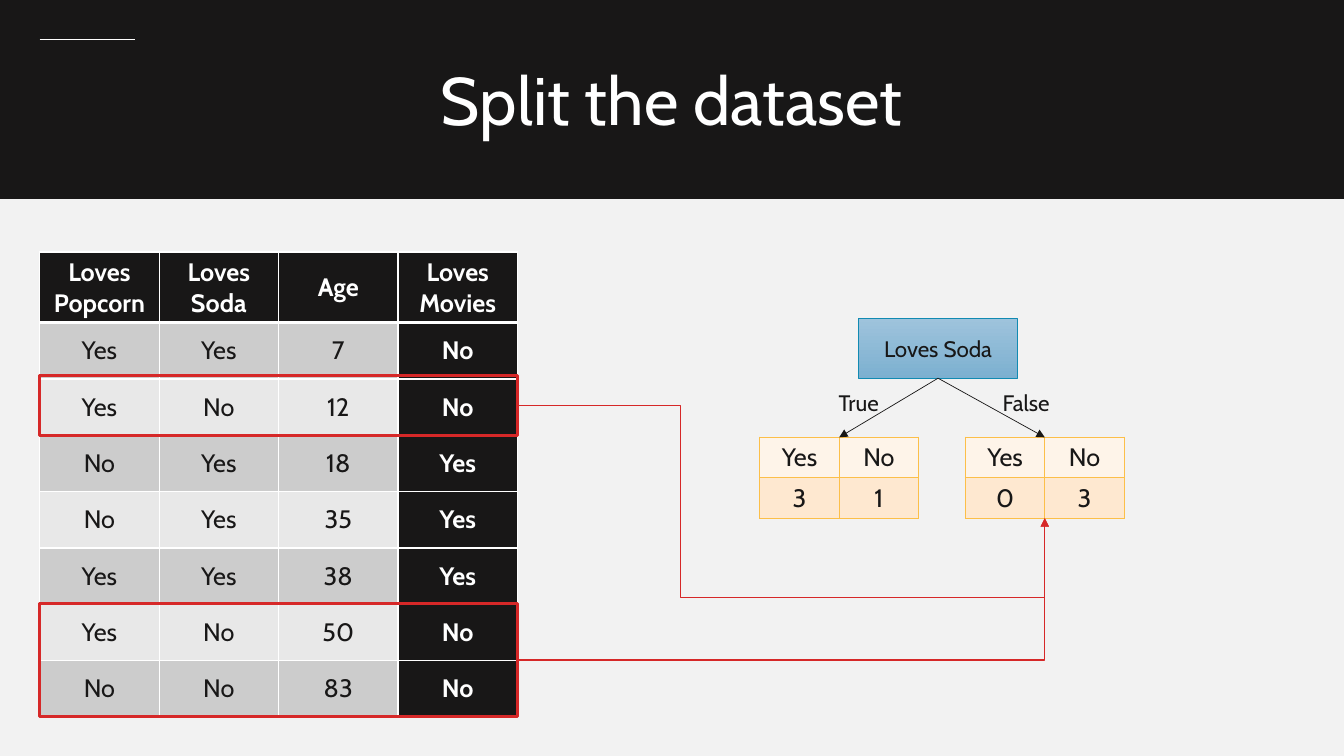
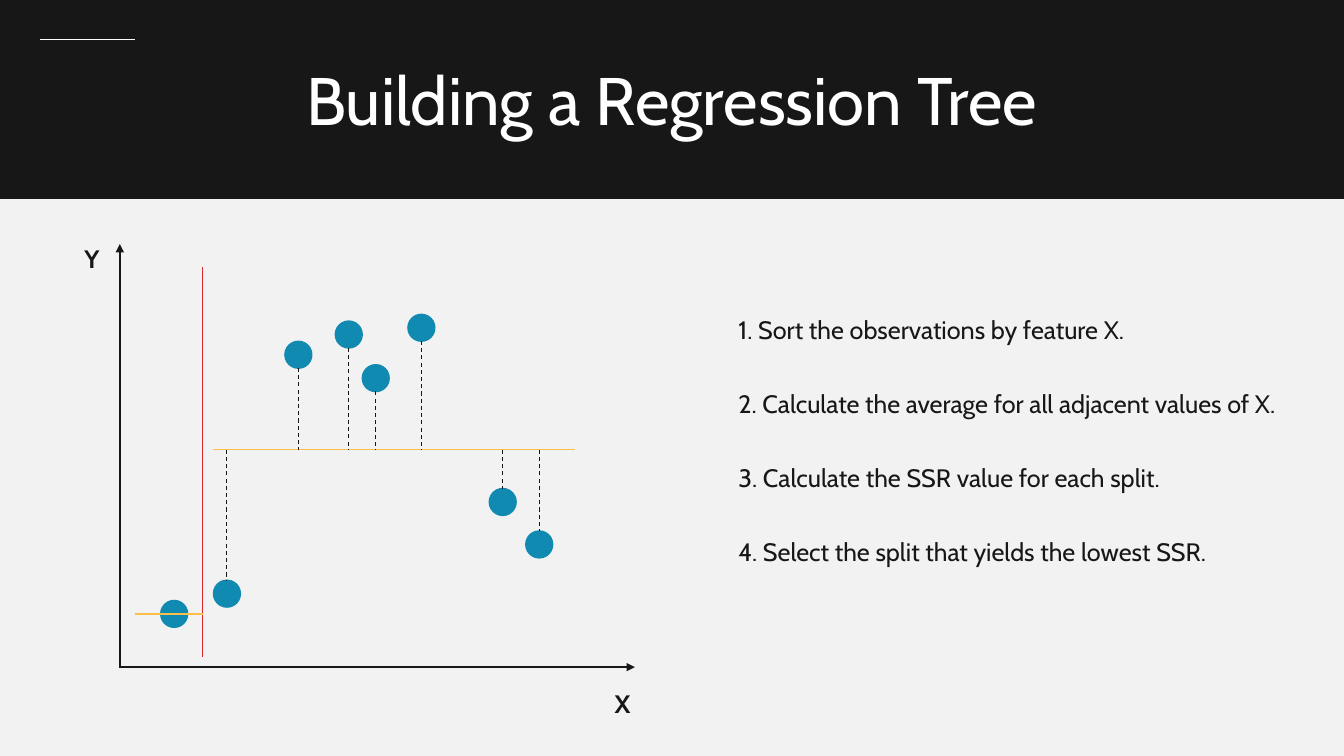
"""Build two lesson slides about decision trees and regression trees."""
from dataclasses import dataclass
from typing import NamedTuple

from lxml import etree
from pptx import Presentation
from pptx import util as u
from pptx.dml import color
from pptx.enum import dml, shapes, text
from pptx.oxml import ns


@dataclass(frozen=True)
class Theme:
    """Hold the colours, type sizes and font."""
    paper: str = "F2F2F2"
    ink: str = "181717"
    white: str = "FFFFFF"
    blue: str = "118AB2"
    red: str = "D62828"
    amber: str = "FCBF49"
    bands: tuple = ("CCCCCC", "E8E8E8")
    leaf: tuple = ("FEF4E9", "FEE8D0")
    root: tuple = ("9EC3DC", "7CB0D0")
    font: str = "Cabin"
    title: int = 48
    body: int = 18
    label: int = 16


class Box(NamedTuple):
    """Give a place and size in centimetres."""
    x: float
    y: float
    w: float
    h: float

    def cm(self) -> list:
        """Return the four lengths."""
        return [u.Cm(v) for v in self]


class Dot(NamedTuple):
    """Give the centre of an observation in centimetres."""
    x: float
    y: float


T = Theme()
W, H, BAND_H = 33.87, 19.05, 5.0
MEAN_Y, DOT_R = 11.33, 0.33
PEOPLE = [
    ("Loves Popcorn", "Loves Soda", "Age", "Loves Movies"),
    ("Yes", "Yes", "7", "No"),
    ("Yes", "No", "12", "No"),
    ("No", "Yes", "18", "Yes"),
    ("No", "Yes", "35", "Yes"),
    ("Yes", "Yes", "38", "Yes"),
    ("Yes", "No", "50", "No"),
    ("No", "No", "83", "No"),
]
LEFT_DOT = Dot(4.39, 15.47)
RIGHT_DOTS = [
    Dot(5.72, 14.96), Dot(7.52, 8.94), Dot(8.79, 8.43), Dot(9.47, 9.53),
    Dot(10.62, 8.26), Dot(12.67, 12.65), Dot(13.59, 13.72),
]
STEPS = [
    "Sort the observations by feature X.",
    "Calculate the average for all adjacent values of X.",
    "Calculate the SSR value for each split.",
    "Select the split that yields the lowest SSR.",
]


def rgb(value: str) -> color.RGBColor:
    """Turn a hex string into a colour."""
    return color.RGBColor.from_string(value)


def write(tf, words: str, *, size: int = T.body, ink: str = T.ink,
          bold: bool = False, center: bool = True) -> None:
    """Write one formatted paragraph into a text frame."""
    p = tf.paragraphs[0]
    p.alignment = text.PP_ALIGN.CENTER if center else text.PP_ALIGN.LEFT
    r = p.add_run()
    r.text = words
    r.font.name, r.font.size, r.font.bold = T.font, u.Pt(size), bold
    r.font.color.rgb = rgb(ink)


def add_text(s, box: Box, words: str, **style) -> None:
    """Add a wrapping text box."""
    tf = s.shapes.add_textbox(*box.cm()).text_frame
    tf.word_wrap = True
    write(tf, words, **style)


def add_shape(s, box: Box, line: str, width: float, fill: str = "",
              kind=shapes.MSO_SHAPE.RECTANGLE):
    """Add a flat preset shape, hollow unless a fill is given."""
    sp = s.shapes.add_shape(kind, *box.cm())
    sp.shadow.inherit = False
    if fill:
        sp.fill.solid()
        sp.fill.fore_color.rgb = rgb(fill)
    else:
        sp.fill.background()
    sp.line.color.rgb, sp.line.width = rgb(line), u.Pt(width)
    return sp


def add_line(s, x1: float, y1: float, x2: float, y2: float, ink: str = T.ink,
             width: float = 1, arrow: bool = False, dash: bool = False,
             kind=shapes.MSO_CONNECTOR.STRAIGHT):
    """Add a connector, with an arrowhead or dashes on request."""
    c = s.shapes.add_connector(kind, *(u.Cm(v) for v in (x1, y1, x2, y2)))
    c.line.color.rgb, c.line.width = rgb(ink), u.Pt(width)
    if dash:
        c.line.dash_style = dml.MSO_LINE.DASH
    spPr = c.element.spPr
    if arrow:
        ln = spPr.find(ns.qn("a:ln"))
        etree.SubElement(ln, ns.qn("a:tailEnd"), type="triangle")
    etree.SubElement(spPr, ns.qn("a:effectLst"))
    return c


def link(s, a, a_site: int, b, b_site: int, **style):
    """Join two objects with an arrow."""
    c = add_line(s, 0, 0, 1, 1, arrow=True, **style)
    c.begin_connect(a, a_site)
    c.end_connect(b, b_site)
    return c


def link_bent(s, a, b, preset: str, *adjust: int) -> None:
    """Join the right of one object to the bottom of another by a bent arrow."""
    c = link(s, a, 3, b, 2, ink=T.red, kind=shapes.MSO_CONNECTOR.ELBOW)
    geom = c.element.spPr.find(ns.qn("a:prstGeom"))
    geom.set("prst", preset)
    av = geom.find(ns.qn("a:avLst"))
    if av is None:
        av = etree.SubElement(geom, ns.qn("a:avLst"))
    for i, value in enumerate(adjust, 1):
        etree.SubElement(av, ns.qn("a:gd"), name=f"adj{i}", fmla=f"val {value}")


def set_borders(cell, ink: str, **widths: float) -> None:
    """Draw the four cell borders, 1 pt unless stated."""
    tcPr = cell._tc.get_or_add_tcPr()
    for i, side in enumerate("LRTB"):
        ln = etree.Element(ns.qn(f"a:ln{side}"), w=str(u.Pt(widths.get(side, 1))))
        fill = etree.SubElement(ln, ns.qn("a:solidFill"))
        etree.SubElement(fill, ns.qn("a:srgbClr"), val=ink)
        tcPr.insert(i, ln)


def add_table(s, x: float, y: float, col_w: float, heights: list, rows: list):
    """Add an unstyled table; return its frame and its cells by place."""
    box = Box(x, y, col_w * len(rows[0]), sum(heights))
    frame = s.shapes.add_table(len(rows), len(rows[0]), *box.cm())
    tbl = frame.table
    tbl.first_row = tbl.horz_banding = False
    for row, h in zip(tbl.rows, heights):
        row.height = u.Cm(h)
    for col in tbl.columns:
        col.width = u.Cm(col_w)
    cells = [(i, j, tbl.cell(i, j)) for i in range(len(rows))
             for j in range(len(rows[0]))]
    return frame, cells


def fill_cell(cell, words: str, fill: str, **style) -> None:
    """Fill a cell and write its centred text."""
    cell.fill.solid()
    cell.fill.fore_color.rgb = rgb(fill)
    cell.vertical_anchor = text.MSO_ANCHOR.MIDDLE
    write(cell.text_frame, words, **style)


def add_people(s) -> None:
    """Add the dataset table with its dark header and last column."""
    heights = [1.78] + [1.42] * (len(PEOPLE) - 1)
    _, cells = add_table(s, 1, 6.35, 3.01, heights, PEOPLE)
    for i, j, cell in cells:
        dark = i == 0 or j == 3
        fill_cell(cell, PEOPLE[i][j], T.ink if dark else T.bands[(i + 1) % 2],
                  ink=T.white if dark else T.ink, bold=dark)
        set_borders(cell, T.white, T=3 if i == 1 else 1, B=3 if i == 0 else 1)


def add_leaf(s, x: float, yes: int, no: int):
    """Add a table of counts for one branch."""
    rows = [("Yes", "No"), (str(yes), str(no))]
    frame, cells = add_table(s, x, 11.02, 2, [1.02, 1.02], rows)
    for i, j, cell in cells:
        fill_cell(cell, rows[i][j], T.leaf[i])
        set_borders(cell, T.amber)
    return frame


def add_slide(prs, title: str):
    """Add a slide with the shared band, rule and title."""
    s = prs.slides.add_slide(prs.slide_layouts[6])
    add_shape(s, Box(0, 0, W, BAND_H), T.ink, 1, T.ink)
    add_line(s, 1, 1, 3.4, 1, T.white, 0.5)
    add_text(s, Box(5.84, 1.35, 22.17, 2.31), title, size=T.title, ink=T.white)
    return s


def build_split(prs) -> None:
    """Build the slide that splits the dataset."""
    s = add_slide(prs, "Split the dataset")
    add_people(s)
    root = add_shape(s, Box(21.64, 8.03, 4, 1.5), T.blue, 0.5)
    root.fill.gradient()
    root.fill.gradient_angle = 270
    for stop, value in zip(root.fill.gradient_stops, T.root):
        stop.color.rgb = rgb(value)
    root.text_frame.vertical_anchor = text.MSO_ANCHOR.MIDDLE
    write(root.text_frame, "Loves Soda", size=T.label)

    true_leaf = add_leaf(s, 19.15, 3, 1)
    false_leaf = add_leaf(s, 24.33, 0, 3)
    for leaf, words, x in ((true_leaf, "True", 20.14), (false_leaf, "False", 24.36)):
        link(s, root, 2, leaf, 0, width=0.5)
        add_text(s, Box(x, 9.68, 3, 0.94), words, size=T.label)

    one_row = add_shape(s, Box(1, 9.47, 12.04, 1.5), T.red, 2.25)
    two_rows = add_shape(s, Box(1, 15.21, 12.04, 2.84), T.red, 2.25)
    link_bent(s, one_row, false_leaf, "bentConnector4", 30900, 170200)
    link_bent(s, two_rows, false_leaf, "bentConnector2")


def build_regression(prs) -> None:
    """Build the slide with the scatter sketch and the steps."""
    s = add_slide(prs, "Building a Regression Tree")
    add_line(s, 3.02, 16.84, 3.02, 6.15, width=1.5, arrow=True)
    add_line(s, 3.02, 16.81, 16, 16.81, width=1.5, arrow=True)
    for words, x, y in (("X", 15.24, 17.22), ("Y", 1.88, 6)):
        add_text(s, Box(x, y, 1.5, 1.02), words, bold=True, center=False)

    for d in [LEFT_DOT, *RIGHT_DOTS]:
        add_shape(s, Box(d.x - DOT_R, d.y - DOT_R, 2 * DOT_R, 2 * DOT_R),
                  T.blue, 1.5, T.blue, shapes.MSO_SHAPE.OVAL)
    add_line(s, 5.11, 6.73, 5.11, 16.56, T.red)
    add_line(s, 3.4, LEFT_DOT.y, 5.11, LEFT_DOT.y, T.amber)
    add_line(s, 5.38, MEAN_Y, 14.48, MEAN_Y, T.amber)
    for d in RIGHT_DOTS:
        edge = d.y + (DOT_R if d.y < MEAN_Y else -DOT_R)
        y1, y2 = sorted((edge, MEAN_Y))
        add_line(s, d.x, y1, d.x, y2, width=0.75, dash=True)

    for i, step in enumerate(STEPS):
        add_text(s, Box(18.36, 7.8 + 1.86 * i, 14.78, 1.02),
                 f"{i + 1}. {step}", center=False)


def main() -> None:
    """Build and save the deck."""
    prs = Presentation()
    prs.slide_width, prs.slide_height = u.Cm(W), u.Cm(H)
    bg = prs.slide_master.background.fill
    bg.solid()
    bg.fore_color.rgb = rgb(T.paper)
    build_split(prs)
    build_regression(prs)
    prs.save("out.pptx")


if __name__ == "__main__":
    main()
